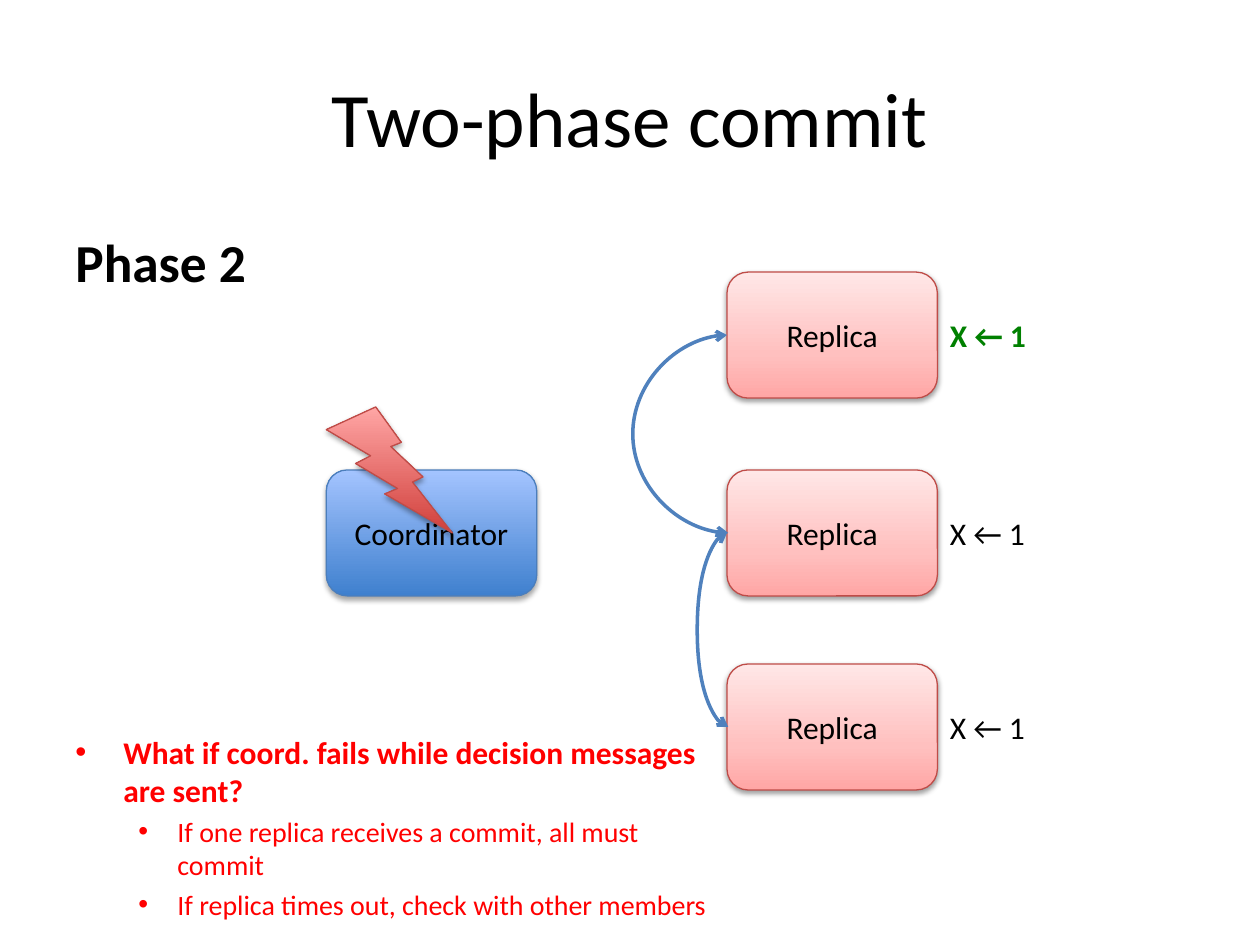
import pptx
import pptx.dml.color
import pptx.enum.shapes
import pptx.enum.text
import pptx.oxml
import pptx.oxml.ns
import pptx.util
from lxml import etree

Inches, Pt = pptx.util.Inches, pptx.util.Pt
qn = pptx.oxml.ns.qn
SHAPE = pptx.enum.shapes.MSO_SHAPE
CURVE = pptx.enum.shapes.MSO_CONNECTOR.CURVE
ALIGN = pptx.enum.text.PP_ALIGN
ANCHOR = pptx.enum.text.MSO_ANCHOR

TITLE = "Two-phase commit"
HEADING = "Phase 2"
QUESTIONS = [  # level, text
    (0, "What if coord. fails while decision messages are sent?"),
    (1, "If one replica receives a commit, all must commit"),
    (1, "If replica times out, check with other members"),
]
LEVELS = [  # format, left margin, hanging indent
    ({"size": 18, "bold": True, "color": "FF0000"}, 0.38, 0.38),
    ({"size": 16, "color": "FF0000"}, 0.81, 0.31),
]
REPLICAS = [  # top, format of the value beside it
    (2.16, {"bold": True, "color": "008000"}),
    (3.73, {}),
    (5.27, {}),
]
VALUE = "X ← 1"
BOX_W, BOX_H = 1.67, 1
REPLICA_X, COORD_X, COORD_Y = 5.77, 2.59, 3.73
BULGES = [(2, 1, 0.25), (1, 0, 0.77)]  # from replica, to replica, reach to the left
SLIVER = 0.01  # connector width that its bulge is a multiple of

BLUE = {"stops": [(0, "3F80CE"), (100, "A4C4FF")], "line": "4B7EBC", "shadow": (35, 1.8)}
PINK = {"stops": [(0, "FFA6A5"), (35, "FFC0BF"), (100, "FFE7E7")],
        "line": "BF4C48", "shadow": (38, 1.6)}
RED = {"stops": [(0, "D1403C"), (100, "FFA6A5")], "line": "BF4C48", "shadow": (35, 1.8)}


def rgb(value):
    return pptx.dml.color.RGBColor.from_string(value)


def sub(parent, tag, **attrs):
    return etree.SubElement(parent, qn(tag), {k: str(v) for k, v in attrs.items()})


def write(p, text, fmt):
    r = p.add_run()
    r.text = text
    values = {"name": "Calibri", "size": 18, "color": "000000", **fmt}
    r.font.color.rgb = rgb(values.pop("color"))
    values["size"] = Pt(values["size"])
    for name, value in values.items():
        setattr(r.font, name, value)


def add_text(s, box, text="", fmt={}, align=ALIGN.LEFT, anchor=ANCHOR.TOP, wrap=True):
    tf = s.shapes.add_textbox(*map(Inches, box)).text_frame
    tf.word_wrap, tf.vertical_anchor = wrap, anchor
    if text:
        tf.paragraphs[0].alignment = align
        write(tf.paragraphs[0], text, fmt)
    return tf


def add_block(s, kind, box, style, text=""):
    """Add a shape with an upward gradient, a thin outline and a soft shadow."""
    sp = s.shapes.add_shape(kind, *map(Inches, box))
    sp.fill.gradient()
    sp.fill.gradient_angle = 90
    stops = sp.element.spPr.find(".//" + qn("a:gsLst"))
    for old in list(stops):
        stops.remove(old)
    for pos, color in style["stops"]:
        sub(sub(stops, "a:gs", pos=pos * 1000), "a:srgbClr", val=color)
    sp.line.color.rgb = rgb(style["line"])
    sp.line.width = Pt(0.75)
    sp.shadow.inherit = False
    alpha, dist = style["shadow"]
    shadow = sub(sp.element.spPr.find(qn("a:effectLst")), "a:outerShdw", blurRad=Pt(3.1),
                 dist=Pt(dist), dir=90 * 60000, rotWithShape=0)
    sub(sub(shadow, "a:srgbClr", val="000000"), "a:alpha", val=alpha * 1000)
    if text:
        sp.text_frame.vertical_anchor = ANCHOR.MIDDLE
        p = sp.text_frame.paragraphs[0]
        p.alignment = ALIGN.CENTER
        write(p, text, {})
    return sp


def add_curve(s, lower, upper, reach):
    """Join the left sides of two boxes by a curve that bulges to the left."""
    c = s.shapes.add_connector(CURVE, lower.left + Inches(SLIVER), lower.top + lower.height // 2,
                               upper.left, upper.top + upper.height // 2)
    c.begin_connect(lower, 1)
    c.end_connect(upper, 1)
    c.width = Inches(SLIVER)
    guides = c._element.spPr.find(qn("a:prstGeom")).get_or_add_avLst()
    sub(guides, "a:gd", name="adj1", fmla=f"val {round(reach / SLIVER * 100000)}")
    c.line.color.rgb = rgb("4F81BD")
    c.line.width = Pt(2)
    ln = c.line._get_or_add_ln()
    for end in ("a:headEnd", "a:tailEnd"):
        sub(ln, end, type="arrow")
    sub(c._element.spPr, "a:effectLst")


def add_bullets(tf, items):
    for i, (level, text) in enumerate(items):
        fmt, margin, hang = LEVELS[level]
        p = tf.add_paragraph() if i else tf.paragraphs[0]
        p.level = level
        pPr = p._p.get_or_add_pPr()
        pPr.set("marL", str(Inches(margin)))
        pPr.set("indent", str(-Inches(hang)))
        if i:
            p.space_before = Pt(fmt["size"] * 0.2)
        sub(pPr, "a:buFont", typeface="Arial")
        sub(pPr, "a:buChar", char="•")
        write(p, text, fmt)


def main():
    prs = pptx.Presentation()
    prs.slide_width, prs.slide_height = Inches(10), Inches(7.5)
    s = prs.slides.add_slide(prs.slide_layouts[6])

    add_text(s, (0.5, 0.3, 9, 1.25), TITLE, {"size": 44}, ALIGN.CENTER, ANCHOR.MIDDLE)
    add_text(s, (0.5, 1.77, 5.39, 0.65), HEADING, {"size": 30.5, "bold": True})
    add_bullets(add_text(s, (0.5, 5.77, 5.39, 1.6)), QUESTIONS)

    add_block(s, SHAPE.ROUNDED_RECTANGLE, (COORD_X, COORD_Y, BOX_W, BOX_H), BLUE, "Coordinator")
    replicas = []
    for top, fmt in REPLICAS:
        box = (REPLICA_X, top, BOX_W, BOX_H)
        replicas.append(add_block(s, SHAPE.ROUNDED_RECTANGLE, box, PINK, "Replica"))
        add_text(s, (REPLICA_X + BOX_W, top + 0.3, 0.82, 0.4), VALUE, fmt, wrap=False)
    add_block(s, SHAPE.LIGHTNING_BOLT, (COORD_X, COORD_Y - 0.5, 1, 1), RED)
    for lower, upper, reach in BULGES:
        add_curve(s, replicas[lower], replicas[upper], reach)

    prs.save("out.pptx")


if __name__ == "__main__":
    main()
